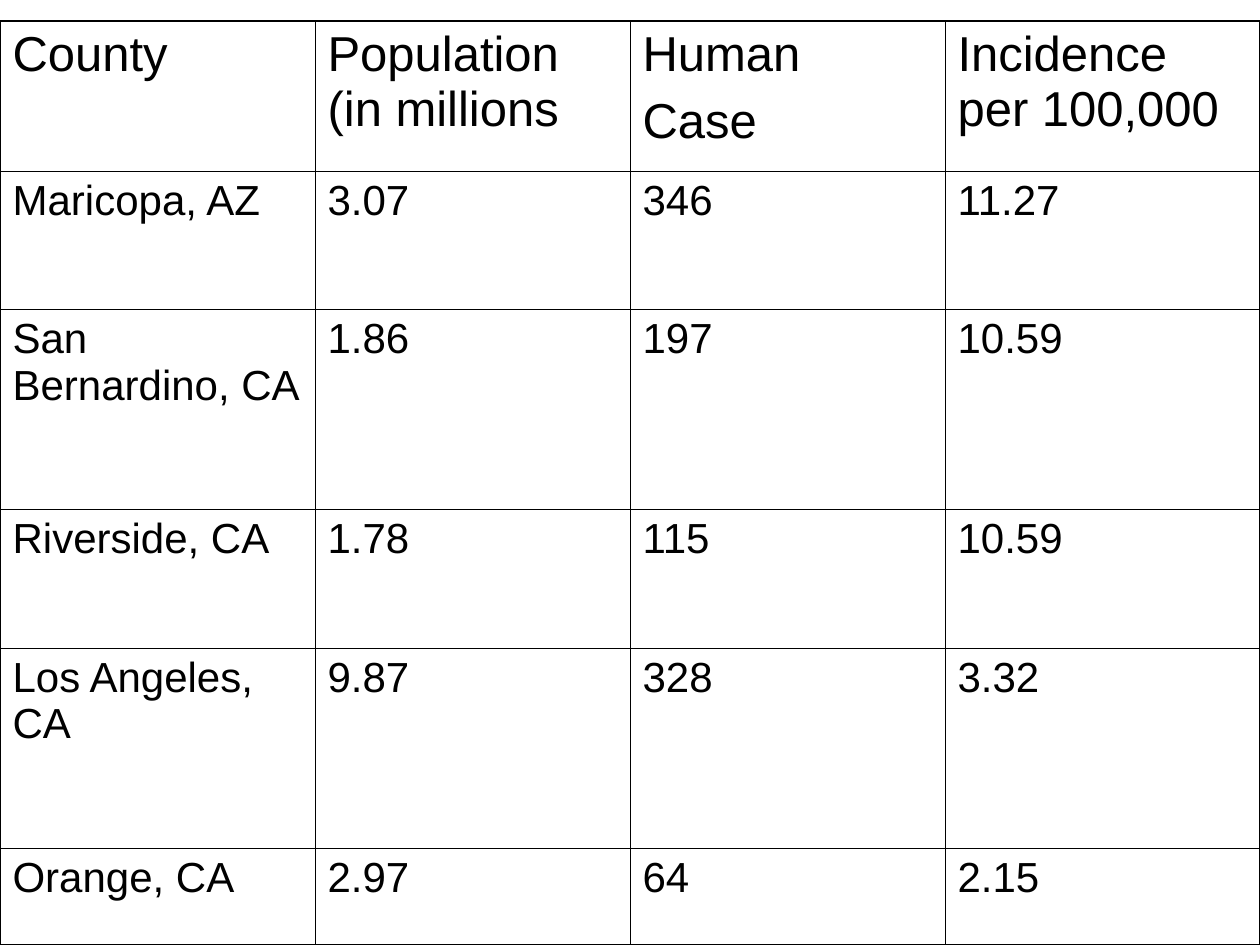
from dataclasses import dataclass

from lxml import etree
from pptx import Presentation
from pptx.dml.color import RGBColor
from pptx.oxml.ns import qn
from pptx.util import Pt

HEADINGS = ["County", "Population (in millions", "Human\nCase", "Incidence per 100,000"]
COUNTIES = [
    ["Maricopa, AZ", "3.07", "346", "11.27"],
    ["San Bernardino, CA", "1.86", "197", "10.59"],
    ["Riverside, CA", "1.78", "115", "10.59"],
    ["Los Angeles, CA", "9.87", "328", "3.32"],
    ["Orange, CA", "2.97", "64", "2.15"],
]

SLIDE_WIDTH, SLIDE_HEIGHT = 720, 540
TABLE_TOP = 12
ROW_HEIGHTS = [85.7, 79, 114.6, 79, 114.6, 55.1]
BLANK_LAYOUT = 6


@dataclass(frozen=True)
class Theme:
    font: str = "Arial"
    ink: str = "000000"
    heading_size: float = 28
    body_size: float = 24
    paragraph_gap: float = 7
    outer_line: float = 1.08
    inner_line: float = 0.45


THEME = Theme()


def add_border(cell, side, width):
    properties = cell._tc.get_or_add_tcPr()
    border = etree.SubElement(properties, qn(f"a:ln{side}"), w=str(Pt(width)))
    fill = etree.SubElement(border, qn("a:solidFill"))
    etree.SubElement(fill, qn("a:srgbClr"), val=THEME.ink)


def write_cell(cell, text, size):
    frame = cell.text_frame
    for index, line in enumerate(text.split("\n")):
        if index:
            paragraph = frame.add_paragraph()
            paragraph.space_before = Pt(THEME.paragraph_gap)
        else:
            paragraph = frame.paragraphs[0]
        run = paragraph.add_run()
        run.text = line
        run.font.name = THEME.font
        run.font.size = Pt(size)
        run.font.color.rgb = RGBColor.from_string(THEME.ink)


def add_county_table(slide):
    rows = [HEADINGS] + COUNTIES
    last_row, last_column = len(rows) - 1, len(HEADINGS) - 1
    table = slide.shapes.add_table(
        len(rows), len(HEADINGS),
        Pt(0), Pt(TABLE_TOP), Pt(SLIDE_WIDTH), Pt(sum(ROW_HEIGHTS)),
    ).table
    table.horz_banding = False

    for column in table.columns:
        column.width = Pt(SLIDE_WIDTH / len(HEADINGS))
    for row, height in zip(table.rows, ROW_HEIGHTS):
        row.height = Pt(height)

    for r, values in enumerate(rows):
        size = THEME.body_size if r else THEME.heading_size
        for c, text in enumerate(values):
            cell = table.cell(r, c)
            cell.margin_left = cell.margin_right = Pt(7.2)
            cell.margin_top = cell.margin_bottom = Pt(3.6)
            on_edge = {"L": c == 0, "R": c == last_column,
                       "T": r == 0, "B": r == last_row}
            for side, outer in on_edge.items():
                add_border(cell, side, THEME.outer_line if outer else THEME.inner_line)
            cell.fill.background()
            write_cell(cell, text, size)
    table.first_row = False


def main():
    presentation = Presentation()
    presentation.slide_width = Pt(SLIDE_WIDTH)
    presentation.slide_height = Pt(SLIDE_HEIGHT)
    slide = presentation.slides.add_slide(presentation.slide_layouts[BLANK_LAYOUT])
    add_county_table(slide)
    presentation.save("out.pptx")


if __name__ == "__main__":
    main()
